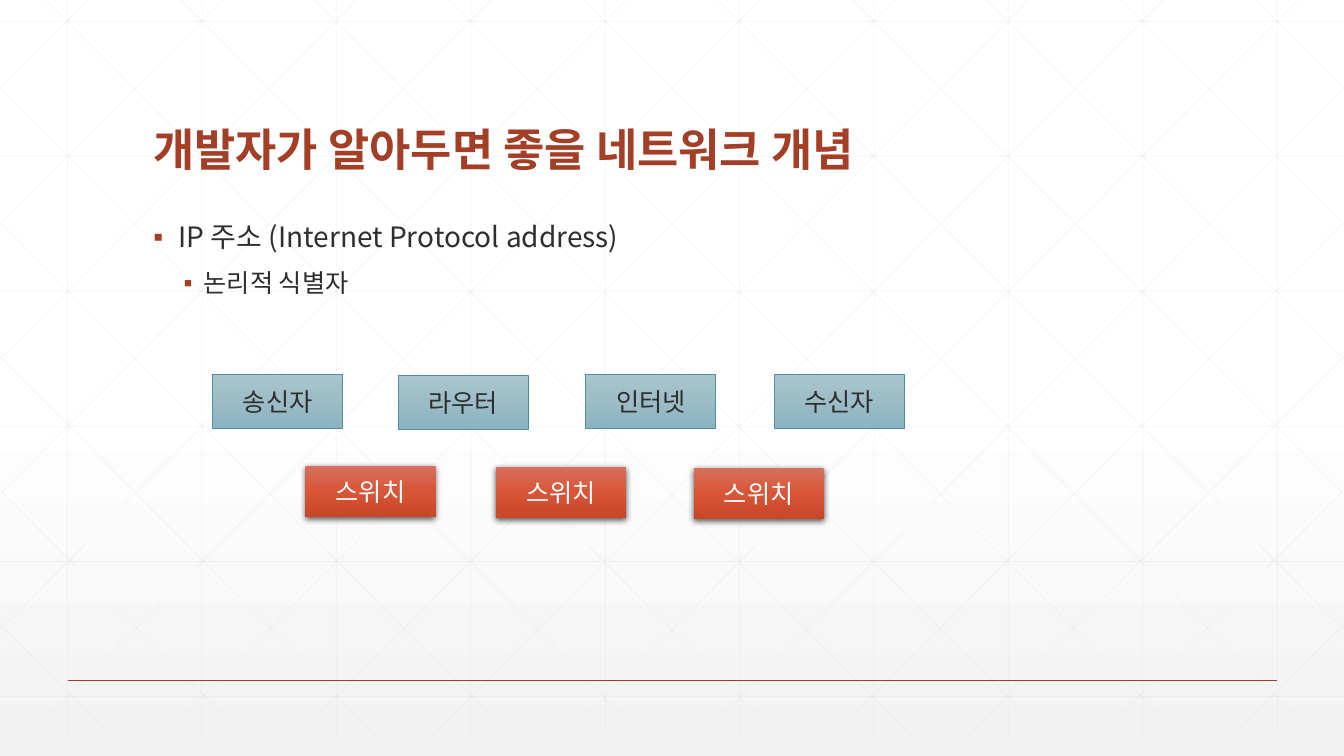
from lxml import etree
from pptx import Presentation
from pptx.dml.color import RGBColor
from pptx.enum.shapes import MSO_CONNECTOR as CONN, MSO_SHAPE as SHAPE
from pptx.enum.text import MSO_ANCHOR as ANCHOR, MSO_AUTO_SIZE as AUTO, PP_ALIGN as ALIGN
from pptx.oxml.ns import qn
from pptx.util import Inches, Pt

COLORS = {
    "accent": "A43F27", "ink": "2D2E2D", "white": "FFFFFF", "grid": "D9D9D9",
    "fog": "F2F2F2", "teal_line": "4F91A1", "black": "000000",
    "teal_top": "A9C6CF", "teal_mid": "9CBCC6", "teal_low": "8AB4C0",
    "red_top": "D7705D", "red_mid": "D85537", "red_low": "C84728",
}
KOREAN = "Noto Sans CJK KR"
WIDTH, HEIGHT = 13.33, 7.5


def rgb(name):
    return RGBColor.from_string(COLORS[name])


def sub(parent, tag, **attrs):
    el = etree.SubElement(parent, qn(tag))
    for key, value in attrs.items():
        el.set(key, str(value))
    return el


def add_color(parent, name, alpha=100):
    clr = sub(parent, "a:srgbClr", val=COLORS[name])
    if alpha < 100:
        sub(clr, "a:alpha", val=alpha * 1000)


def set_gradient(fill, owner, stops):
    fill.gradient()
    fill.gradient_angle = 270
    gs_list = owner.find(".//" + qn("a:gsLst"))
    for old in list(gs_list):
        gs_list.remove(old)
    for pos, name, alpha in stops:
        add_color(sub(gs_list, "a:gs", pos=pos * 1000), name, alpha)


def write(p, text, size=18, color="ink", font="Arial", bold=False, align=ALIGN.LEFT,
          spacing=1.0, before=0):
    p.alignment = align
    p.line_spacing = spacing
    p.space_before = Pt(before)
    r = p.add_run()
    r.text = text
    r.font.size = Pt(size)
    r.font.bold = bold
    r.font.name = font
    r.font.color.rgb = rgb(color)
    sub(r.font._element, "a:ea", typeface=KOREAN)


def add_line(shapes, x1, y1, x2, y2, color, width, alpha=100):
    line = shapes.add_connector(CONN.STRAIGHT, Inches(x1), Inches(y1), Inches(x2), Inches(y2))
    line.line.color.rgb = rgb(color)
    line.line.width = Pt(width)
    sp_pr = line._element.spPr
    if alpha < 100:
        sub(sp_pr.find(".//" + qn("a:srgbClr")), "a:alpha", val=alpha * 1000)
    sub(sp_pr, "a:effectLst")


def add_backdrop(s, top, bottom):
    set_gradient(s.background.fill, s._element,
                 [(0, "white", 100), (53, "white", 100), (100, "fog", 65)])
    step = WIDTH / 10
    rise = (bottom - top) / 7.45
    lines = [(0.67 + step * i, top, 0.67 + step * i, bottom) for i in range(10)]
    lines += [(0, 0.21 + 1.34 * i, WIDTH, 0.21 + 1.34 * i) for i in range(6)]
    diagonals = []
    for i in range(10):
        x = 0.25 + step * i
        end = min(WIDTH, x + 7.45)
        diagonals.append((x, top, end, top + (end - x) * rise))
    for i in range(5):
        x = 6.37 - 1.32 * i
        diagonals.append((x, bottom, 0, bottom - x * rise))
    lines += diagonals
    lines += [(WIDTH - x1, y1, WIDTH - x2, y2) for x1, y1, x2, y2 in diagonals]
    grid = s.shapes.add_group_shape()
    for ends in lines:
        add_line(grid.shapes, *ends, "grid", 0.5, alpha=25)
    s.shapes._spTree.insert(2, grid._element)
    add_line(s.shapes, 0.67, 6.75, 12.67, 6.75, "accent", 1)


def place(holder, x, y, w, h, anchor):
    holder.left, holder.top, holder.width, holder.height = map(Inches, (x, y, w, h))
    tf = holder.text_frame
    tf.word_wrap = True
    tf.auto_size = AUTO.NONE
    tf.vertical_anchor = anchor
    return tf


def fill_title(s, x, y, w, h):
    tf = place(s.shapes.title, x, y, w, h, ANCHOR.BOTTOM)
    write(tf.paragraphs[0], "개발자가 알아두면 좋을 네트워크 개념", size=32, color="accent",
          font=KOREAN, bold=True, spacing=0.9)


def fill_body(s, x, y, w, h):
    tf = place(s.placeholders[1], x, y, w, h, ANCHOR.TOP)
    items = [("IP 주소 (Internet Protocol address)", 20, 0.25, 0.25, 0),
             ("논리적 식별자", 18, 0.5, 0.2, 12)]
    for level, (text, size, margin, hang, before) in enumerate(items):
        p = tf.add_paragraph() if level else tf.paragraphs[0]
        p.level = level
        p_pr = p._p.get_or_add_pPr()
        p_pr.set("marL", str(Inches(margin)))
        p_pr.set("indent", str(-Inches(hang)))
        add_color(sub(p_pr, "a:buClr"), "accent")
        sub(p_pr, "a:buFont", typeface="Arial")
        sub(p_pr, "a:buChar", char="▪")
        write(p, text, size=size, font=KOREAN, spacing=0.9, before=before)


def add_node(s, text, x, y, w, h, tone, color, line=None, shadow=False):
    sp = s.shapes.add_shape(SHAPE.RECTANGLE, Inches(x), Inches(y), Inches(w), Inches(h))
    sp.shadow.inherit = False
    stops = [(0, tone + "_top", 100), (50, tone + "_mid", 100), (100, tone + "_low", 100)]
    set_gradient(sp.fill, sp._element, stops)
    if line:
        sp.line.color.rgb = rgb(line)
        sp.line.width = Pt(0.5)
    else:
        sp.line.fill.background()
    if shadow:
        effects = sp._element.spPr.find(qn("a:effectLst"))
        outer = sub(effects, "a:outerShdw", blurRad=Pt(4.5), dist=Pt(1.5), dir=5400000,
                    algn="ctr", rotWithShape=0)
        add_color(outer, "black", 63)
    tf = sp.text_frame
    tf.word_wrap = True
    tf.vertical_anchor = ANCHOR.MIDDLE
    write(tf.paragraphs[0], text, color=color, align=ALIGN.CENTER)


def add_network(s, x, y, w):
    hosts = [("송신자", 0, 0), ("라우터", 1.84, 0.01), ("인터넷", 3.7, 0), ("수신자", 5.57, 0)]
    for text, dx, dy in hosts:
        add_node(s, text, x + dx, y + dy, w, 0.54, "teal", "ink", line="teal_line")
    for dx, dy in [(0.92, 0.91), (2.81, 0.92), (4.77, 0.93)]:
        add_node(s, "스위치", x + dx, y + dy, w, 0.51, "red", "white", shadow=True)


def main():
    prs = Presentation()
    prs.slide_width, prs.slide_height = Inches(WIDTH), Inches(HEIGHT)
    s = prs.slides.add_slide(prs.slide_layouts[1])
    add_backdrop(s, -0.21, 7.29)
    fill_title(s, 1.42, 0.55, 10.5, 1.25)
    fill_body(s, 1.42, 2.17, 10.5, 4.17)
    add_network(s, 2.11, 3.71, 1.29)
    prs.save("out.pptx")


if __name__ == "__main__":
    main()
